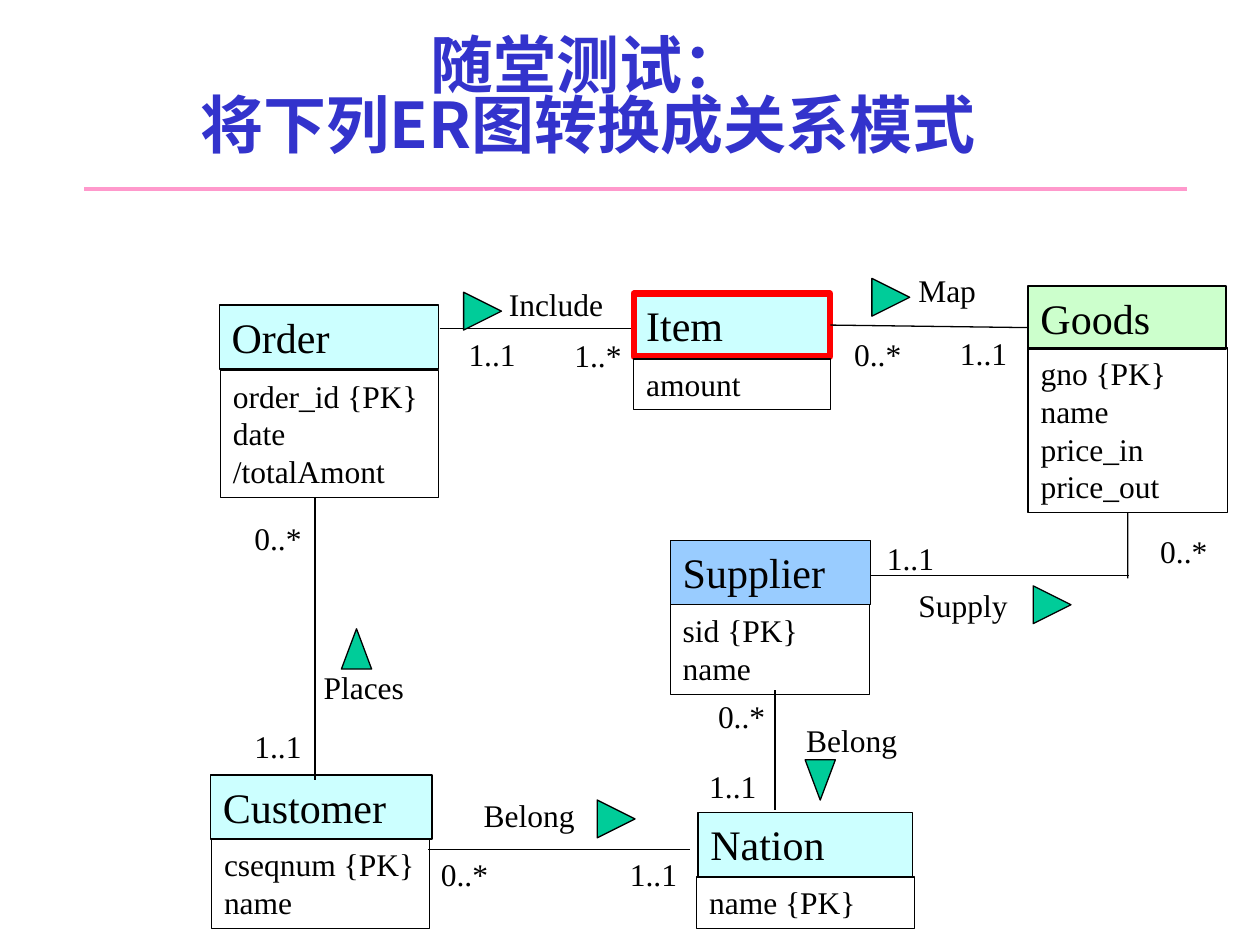
from lxml.etree import SubElement
from pptx import Presentation
from pptx.dml.color import RGBColor
from pptx.enum.shapes import MSO_CONNECTOR, MSO_SHAPE
from pptx.enum.text import MSO_ANCHOR, PP_ALIGN
from pptx.oxml.ns import qn
from pptx.util import Inches, Pt

COLORS = {
    "ink": "000000", "title": "3333CC", "rule": "FF99CC", "marker": "00CC99",
    "cyan": "CCFFFF", "green": "CCFFCC", "blue": "99CCFF", "red": "FF0000",
}
LATIN, CHINESE = "Times New Roman", "Noto Sans CJK SC"
HEADING_SIZE, BODY_SIZE = 24, 18
LABEL_HEIGHT = 0.4
MULTIPLICITY_WIDTH = 0.58
MARKER_SIZE = 0.3

# name, fill, heading box, attribute box, attributes
ENTITIES = [
    ("Goods", "green", (8.16, 2.27, 1.57, 0.5), (8.16, 2.76, 1.58, 1.31),
     ["gno {PK}", "name", "price_in", "price_out"]),
    ("Supplier", "blue", (5.32, 4.29, 1.59, 0.51), (5.32, 4.8, 1.58, 0.71),
     ["sid {PK}", "name"]),
    ("Order", "cyan", (1.74, 2.42, 1.74, 0.51), (1.75, 2.94, 1.73, 1.01),
     ["order_id {PK}", "date", "/totalAmont"]),
    ("Customer", "cyan", (1.67, 6.15, 1.76, 0.51), (1.68, 6.66, 1.73, 0.71),
     ["cseqnum {PK}", "name"]),
    ("Nation", "cyan", (5.54, 6.45, 1.7, 0.51), (5.53, 6.96, 1.73, 0.41),
     ["name {PK}"]),
    ("Item", "cyan", (5.03, 2.33, 1.56, 0.5), (5.03, 2.85, 1.56, 0.4),
     ["amount"]),
]
MULTIPLICITIES = [
    ("1..1", 3.62, 2.61), ("1..*", 4.46, 2.62),
    ("0..*", 6.68, 2.61), ("1..1", 7.52, 2.6),
    ("1..1", 6.94, 4.23), ("0..*", 9.11, 4.17),
    ("0..*", 1.92, 4.07), ("1..1", 1.92, 5.72),
    ("0..*", 3.4, 6.74), ("1..1", 4.9, 6.74),
    ("0..*", 5.6, 5.48), ("1..1", 5.53, 6.04),
]
RELATIONSHIPS = [
    ("Include", 3.94, 2.21, 0.95), ("Map", 7.19, 2.1, 0.66),
    ("Supply", 7.19, 4.6, 0.91), ("Places", 2.47, 5.25, 0.84),
    ("Belong", 3.74, 6.27, 0.92), ("Belong", 6.3, 5.67, 0.92),
]
RIGHT_MARKERS = [(3.68, 2.32), (6.92, 2.21), (8.2, 4.65), (4.74, 6.35)]


def rgb(name):
    return RGBColor.from_string(COLORS[name])


def outline(shape, color="ink", width=0.75):
    shape.line.color.rgb = rgb(color)
    shape.line.width = Pt(width)


def paint(shape, fill):
    shape.shadow.inherit = False
    if fill:
        shape.fill.solid()
        shape.fill.fore_color.rgb = rgb(fill)
    else:
        shape.fill.background()
    outline(shape)


def write_lines(frame, lines, size):
    """Put each line in its own left-aligned paragraph."""
    for index, line in enumerate(lines):
        paragraph = frame.add_paragraph() if index else frame.paragraphs[0]
        paragraph.alignment = PP_ALIGN.LEFT
        paragraph.line_spacing = Pt(size * 1.2)
        run = paragraph.add_run()
        run.text = line
        run.font.name = LATIN
        run.font.size = Pt(size)
        run.font.color.rgb = rgb("ink")


def add_title(slide, lines):
    title = slide.shapes.add_textbox(*map(Inches, (0, 0.17, 9.33, 1.25)))
    frame = title.text_frame
    frame.word_wrap = True
    frame.vertical_anchor = MSO_ANCHOR.MIDDLE
    paragraph = frame.paragraphs[0]
    paragraph.alignment = PP_ALIGN.CENTER
    paragraph.line_spacing = 0.8
    for index, line in enumerate(lines):
        if index:
            paragraph.add_line_break()
        run = paragraph.add_run()
        run.text = line
        run.font.name = CHINESE
        run.font.size = Pt(36)
        run.font.bold = True
        run.font.color.rgb = rgb("title")
        SubElement(run.font._element, qn("a:ea"), typeface=CHINESE)


def add_compartment(slide, box, lines, size, fill=None):
    compartment = slide.shapes.add_shape(MSO_SHAPE.RECTANGLE, *map(Inches, box))
    paint(compartment, fill)
    frame = compartment.text_frame
    frame.word_wrap = True
    frame.vertical_anchor = MSO_ANCHOR.TOP
    write_lines(frame, lines, size)
    return compartment


def add_entity(slide, name, fill, heading_box, attribute_box, attributes):
    heading = add_compartment(slide, heading_box, [name], HEADING_SIZE, fill)
    body = add_compartment(slide, attribute_box, attributes, BODY_SIZE)
    return heading, body


def add_label(slide, text, left, top, width=MULTIPLICITY_WIDTH):
    label = slide.shapes.add_textbox(
        Inches(left), Inches(top), Inches(width), Inches(LABEL_HEIGHT))
    label.text_frame.word_wrap = False
    write_lines(label.text_frame, [text], BODY_SIZE)


def add_line(slide, start, end, color="ink", width=0.75):
    line = slide.shapes.add_connector(
        MSO_CONNECTOR.STRAIGHT, *map(Inches, (*start, *end)))
    outline(line, color, width)
    SubElement(line._element.spPr, qn("a:effectLst"))
    return line


def add_right_marker(slide, left, top):
    right, middle, bottom = left + MARKER_SIZE, top + MARKER_SIZE / 2, top + MARKER_SIZE
    builder = slide.shapes.build_freeform(Inches(left), Inches(top))
    builder.add_line_segments(
        [(Inches(right), Inches(middle)), (Inches(left), Inches(bottom))], close=True)
    paint(builder.convert_to_shape(), "marker")


def add_vertical_marker(slide, kind, left, top):
    marker = slide.shapes.add_shape(
        kind, Inches(left), Inches(top), Inches(0.24), Inches(0.32))
    paint(marker, "marker")


def main():
    presentation = Presentation()
    presentation.slide_width, presentation.slide_height = Inches(10), Inches(7.5)
    slide = presentation.slides.add_slide(presentation.slide_layouts[6])

    add_line(slide, (0.67, 1.5), (9.42, 1.5), "rule", 2)
    add_title(slide, ["随堂测试：", "将下列ER图转换成关系模式"])

    entities = {entity[0]: add_entity(slide, *entity) for entity in ENTITIES}
    item_heading = entities["Item"][0]
    outline(item_heading, "red", 3.5)

    add_line(slide, (3.49, 2.61), (5.01, 2.61))
    item_to_goods = add_line(slide, (6.59, 2.58), (8.16, 2.6))
    item_to_goods.begin_connect(item_heading, 3)
    add_line(slide, (6.91, 4.57), (8.96, 4.57))
    supply_to_goods = add_line(slide, (8.95, 4.59), (8.95, 4.07))
    supply_to_goods.end_connect(entities["Goods"][1], 2)
    add_line(slide, (2.5, 3.95), (2.5, 6.19))
    add_line(slide, (3.4, 6.74), (5.48, 6.74))
    add_line(slide, (6.15, 5.48), (6.15, 6.43))

    for label in MULTIPLICITIES + RELATIONSHIPS:
        add_label(slide, *label)
    for position in RIGHT_MARKERS:
        add_right_marker(slide, *position)
    add_vertical_marker(slide, MSO_SHAPE.FLOWCHART_EXTRACT, 2.71, 4.99)
    add_vertical_marker(slide, MSO_SHAPE.FLOWCHART_MERGE, 6.39, 6.03)

    presentation.save("out.pptx")


if __name__ == "__main__":
    main()
